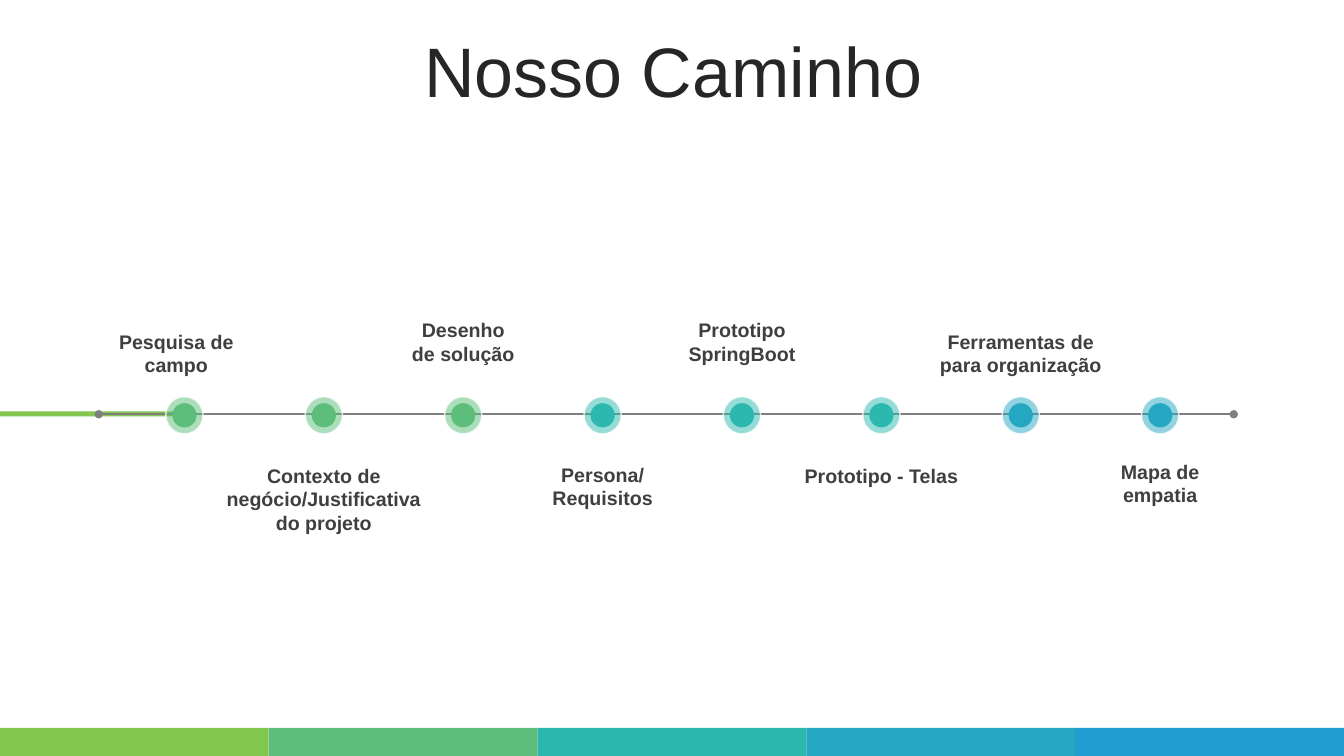
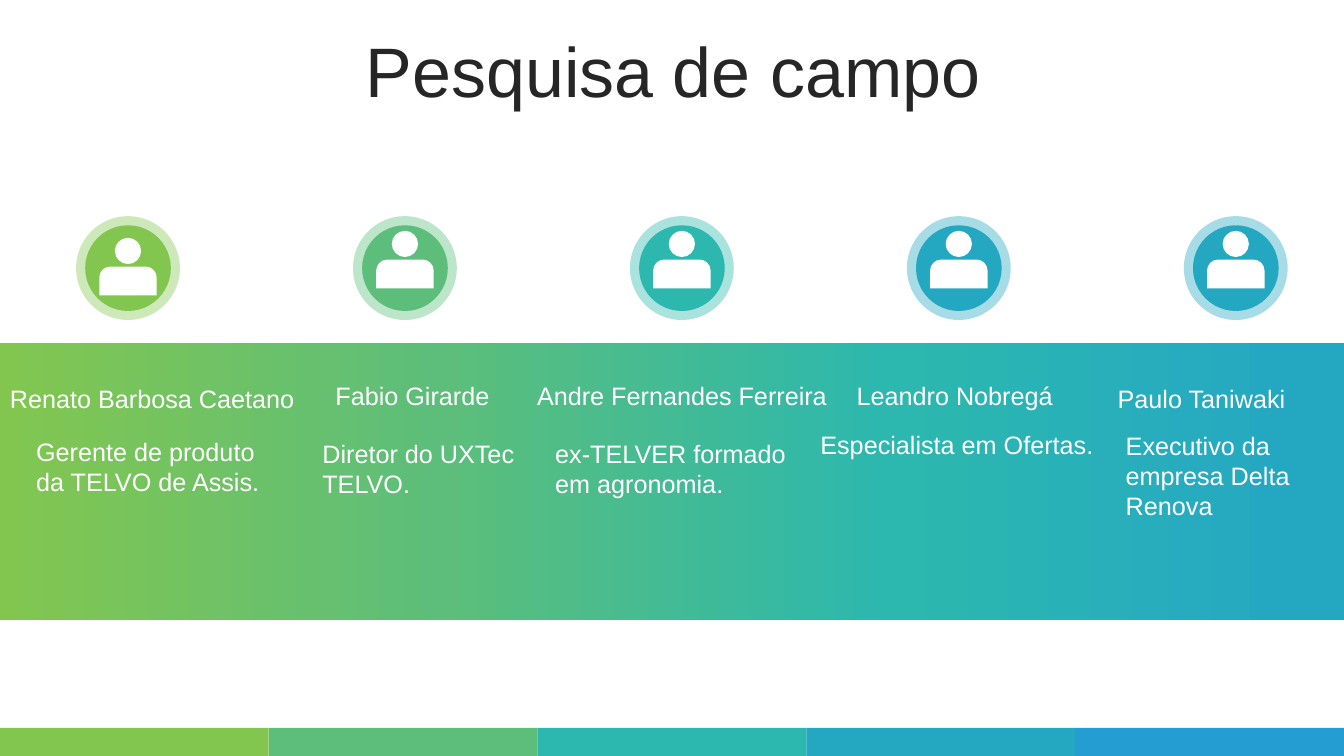
from lxml import etree
from pptx import Presentation
from pptx.dml.color import RGBColor
from pptx.enum.shapes import MSO_CONNECTOR, MSO_SHAPE
from pptx.enum.text import MSO_ANCHOR, PP_ALIGN
from pptx.oxml.ns import qn
from pptx.util import Inches, Pt

W, H = 40 / 3, 7.5

THEME = {
    "font": "Arial",
    "lime": "82C650", "green": "5CBE7A", "teal": "2CB8AE",
    "cyan": "24A8C2", "blue": "249ED2",
    "white": "FFFFFF", "line": "7F7F7F",
    "title": {"size": 50, "color": "262626", "bold": False},
    "step": {"size": 14, "color": "3F3F3F", "bold": True},
    "body": {"size": 18, "color": "FFFFFF", "bold": False},
}
FOOTER = ["lime", "green", "teal", "cyan", "blue"]

# text, colour, label top, label width, label height, shift from the marker
STEPS = [
    ("Pesquisa de campo", "green", 3.22, 1.54, 0.56, -0.08),
    ("Contexto de negócio/Justificativa do projeto", "green", 4.55, 2.24, 1.15, 0),
    ("Desenho de solução", "green", 3.11, 1.25, 0.56, 0),
    ("Persona/ Requisitos", "teal", 4.54, 1.25, 0.56, 0),
    ("Prototipo SpringBoot", "teal", 3.11, 1.38, 0.56, 0),
    ("Prototipo - Telas", "teal", 4.55, 1.81, 0.34, 0),
    ("Ferramentas de para organização", "cyan", 3.22, 1.9, 0.34, 0),
    ("Mapa de empatia", "cyan", 4.51, 1.54, 0.61, 0),
]
STEP_FIRST, STEP_LAST, STEP_Y = 1.83, 11.51, 4.12

# colour, icon top, name and its (left, top, width), role and its (left, top, width, height)
PEOPLE = [
    ("lime", 2.36, "Renato Barbosa Caetano", (0, 3.38, 3.12),
     "Gerente de produto da TELVO de Assis.", (0.26, 4.28, 2.48, 1.72)),
    ("green", 2.29, "Fabio Girarde", (3.23, 3.35, 1.8),
     "Diretor do UXTec TELVO.", (3.1, 4.3, 2.16, 1.72)),
    ("teal", 2.29, "Andre Fernandes Ferreira", (5.23, 3.35, 3.23),
     "ex-TELVER formado em agronomia.", (5.41, 4.3, 2.55, 1.72)),
    ("cyan", 2.29, "Leandro Nobregá", (8.4, 3.35, 2.16),
     "Especialista em Ofertas.", (8.04, 4.21, 2.95, 1.72)),
    ("cyan", 2.29, "Paulo Taniwaki", (10.99, 3.38, 2.16),
     "Executivo da empresa Delta Renova", (11.07, 4.22, 2.16, 1.27)),
]
PERSON_FIRST, PERSON_LAST, PERSON_Y = 1.27, 12.26, 2.66
NAME_H = 0.77
BAND = [(0, "lime"), (33, "green"), (66, "teal"), (96, "cyan"), (100, "cyan")]


def rgb(name):
    return RGBColor.from_string(THEME.get(name, name))


def spread(first, last, n):
    """Return n evenly spaced positions from first to last."""
    return [first + i * (last - first) / (n - 1) for i in range(n)]


def set_alpha(sp, xpath, percent):
    color = sp._element.xpath(xpath + "/a:solidFill/a:srgbClr")[0]
    etree.SubElement(color, qn("a:alpha"), val=str(percent * 1000))


def paint(sp, color):
    sp.shadow.inherit = False
    sp.fill.solid()
    sp.fill.fore_color.rgb = rgb(color)
    sp.line.fill.background()
    return sp


def add_shape(shapes, kind, box, color):
    return paint(shapes.add_shape(kind, *map(Inches, box)), color)


def add_text(s, text, box, style, align=PP_ALIGN.LEFT, anchor=MSO_ANCHOR.TOP):
    tf = s.shapes.add_textbox(*map(Inches, box)).text_frame
    tf.word_wrap = True
    tf.vertical_anchor = anchor
    p = tf.paragraphs[0]
    p.alignment = align
    r = p.add_run()
    r.text = text
    fmt = THEME[style]
    for key, value in {"name": THEME["font"], "size": Pt(fmt["size"]),
                       "bold": fmt["bold"]}.items():
        setattr(r.font, key, value)
    r.font.color.rgb = rgb(fmt["color"])
    return p


def add_disc(s, cx, cy, outer, inner, color, alpha):
    """Group a solid disc with its translucent halo and return the halo."""
    shapes = s.shapes.add_group_shape().shapes
    halo, _ = [add_shape(shapes, MSO_SHAPE.OVAL, (cx - d / 2, cy - d / 2, d, d), color)
               for d in (outer, inner)]
    set_alpha(halo, "p:spPr", alpha)
    return halo


def quarter(start, corner, end):
    """Return the two controls and the end of a quarter ellipse rounding a corner."""
    k = 0.55
    controls = [tuple(a + k * (c - a) for a, c in zip(pt, corner)) for pt in (start, end)]
    return [*controls, end]


def add_person(s, cx, top):
    """Draw a head and shoulders as one outline with true curves."""
    size, head, corner = 0.57, 0.13, 0.11
    left, right, bottom = cx - size / 2, cx + size / 2, top + size
    neck = top + size / 2
    bend = neck + corner
    body = [(left, bottom), (left, bend),
            *quarter((left, bend), (left, neck), (left + corner, neck)),
            (right - corner, neck),
            *quarter((right - corner, neck), (right, neck), (right, bend)),
            (right, bottom)]
    cy = top + head
    around = [(0, -1), (1, 0), (0, 1), (-1, 0), (0, -1)]
    face = [(cx, top)]
    for (ax, ay), (bx, by) in zip(around, around[1:]):
        face += quarter(face[-1], (cx + (ax + bx) * head, cy + (ay + by) * head),
                        (cx + bx * head, cy + by * head))
    body, face = [[(Inches(x), Inches(y)) for x, y in pts] for pts in (body, face)]
    fb = s.shapes.build_freeform(*body[0], scale=1.0)
    fb.add_line_segments(body[1:], close=True)
    fb.move_to(*face[0])
    fb.add_line_segments(face[1:], close=True)
    sp = paint(fb.convert_to_shape(), "white")
    steps = sp._element.xpath(".//a:lnTo")
    for i in (1, 5, 9, 12, 15, 18):
        curve = etree.Element(qn("a:cubicBezTo"))
        steps[i].addprevious(curve)
        for step in steps[i:i + 3]:
            curve.append(step[0])
            step.getparent().remove(step)


def add_slide(prs, title):
    """Add a slide with the shared footer stripes, side bar and title."""
    s = prs.slides.add_slide(prs.slide_layouts[6])
    col = W / len(FOOTER)
    for i, color in enumerate(FOOTER):
        add_shape(s.shapes, MSO_SHAPE.RECTANGLE, (i * col, 7.22, col, H - 7.22), color)
    add_shape(s.shapes, MSO_SHAPE.RECTANGLE, (0, 4.08, 1.93, 0.05), "lime")
    p = add_text(s, title, (0.35, 0.37, 12.66, 0.79), "title",
                 PP_ALIGN.CENTER, MSO_ANCHOR.MIDDLE)
    p.line_spacing = 0.8
    return s


def add_axis(s, left, right, y):
    cxn = s.shapes.add_connector(MSO_CONNECTOR.STRAIGHT,
                                 *map(Inches, (left, y, right, y)))
    cxn.line.color.rgb = rgb("line")
    cxn.line.width = Pt(1.25)
    ln = cxn.line._get_or_add_ln()
    for end in ("a:headEnd", "a:tailEnd"):
        etree.SubElement(ln, qn(end), type="oval")
    etree.SubElement(cxn._element.spPr, qn("a:effectLst"))


def build_path(prs):
    s = add_slide(prs, "Nosso Caminho")
    add_axis(s, 0.98, 12.24, 4.11)
    centres = spread(STEP_FIRST, STEP_LAST, len(STEPS))
    for cx, (_, color, *_) in zip(centres, STEPS):
        halo = add_disc(s, cx, STEP_Y, 0.37, 0.24, color, 50)
        halo.line.color.rgb = rgb("white")
        halo.line.width = Pt(1)
        set_alpha(halo, "p:spPr/a:ln", 80)
    for cx, (text, _, top, width, height, shift) in zip(centres, STEPS):
        add_text(s, text, (cx + shift - width / 2, top, width, height),
                 "step", PP_ALIGN.CENTER)


def add_band(s):
    sp = add_shape(s.shapes, MSO_SHAPE.RECTANGLE, (0, 3.4, W, 2.75), "lime")
    sp.fill.gradient()
    sp.fill.gradient_angle = 0
    stops = sp._element.xpath("p:spPr/a:gradFill/a:gsLst")[0]
    for gs in list(stops):
        stops.remove(gs)
    for pos, color in BAND:
        gs = etree.SubElement(stops, qn("a:gs"), pos=str(pos * 1000))
        etree.SubElement(gs, qn("a:srgbClr"), val=THEME[color])


def build_research(prs):
    s = add_slide(prs, "Pesquisa de campo")
    add_band(s)
    centres = spread(PERSON_FIRST, PERSON_LAST, len(PEOPLE))
    for cx, (color, top, name, name_at, role, role_at) in zip(centres, PEOPLE):
        add_disc(s, cx, PERSON_Y, 1.03, 0.85, color, 40)
        add_person(s, cx, top)
        add_text(s, name, (*name_at, NAME_H), "body", anchor=MSO_ANCHOR.BOTTOM)
        add_text(s, role, role_at, "body")


def main():
    prs = Presentation()
    prs.slide_width, prs.slide_height = Inches(W), Inches(H)
    build_path(prs)
    build_research(prs)
    prs.save("out.pptx")


if __name__ == "__main__":
    main()
